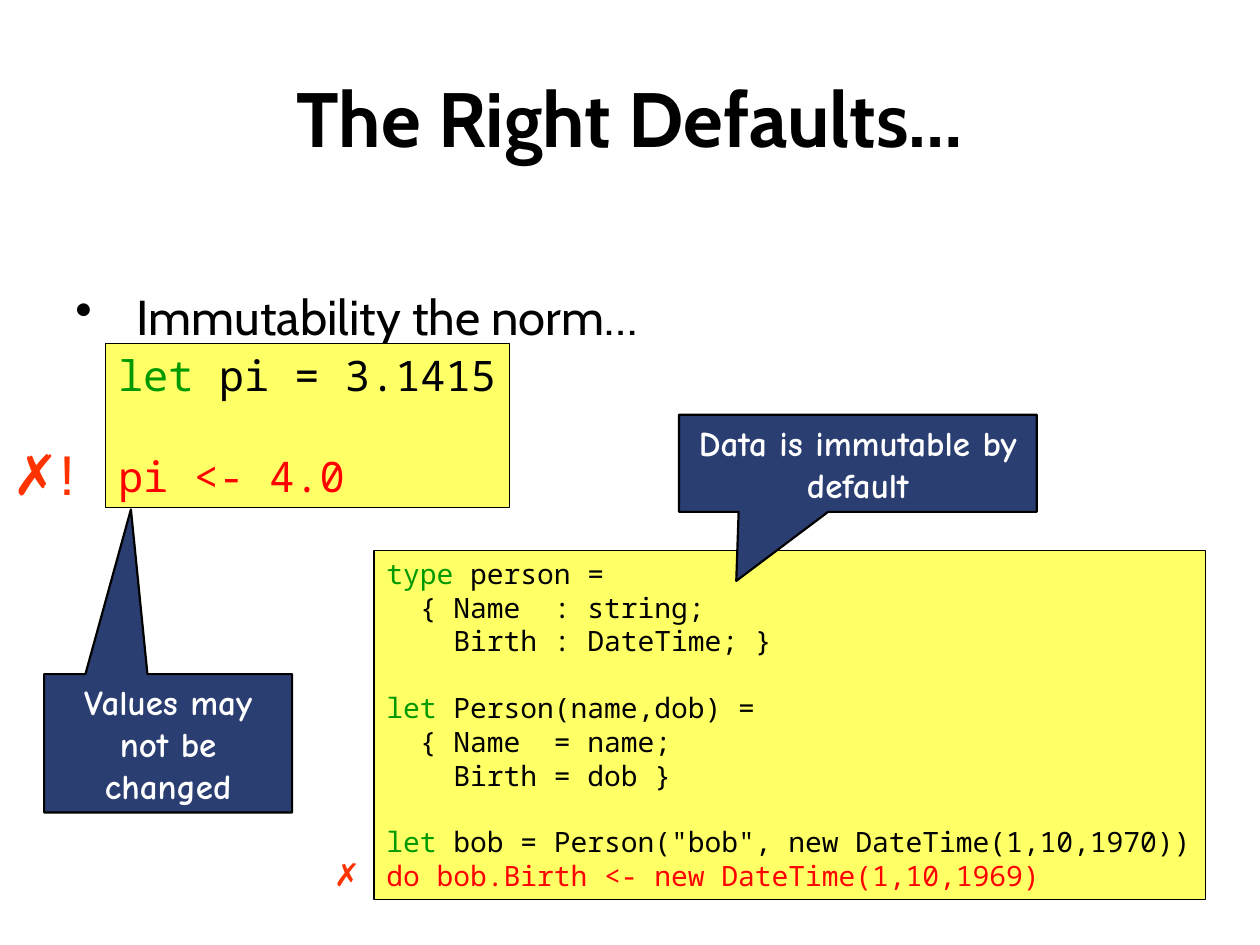
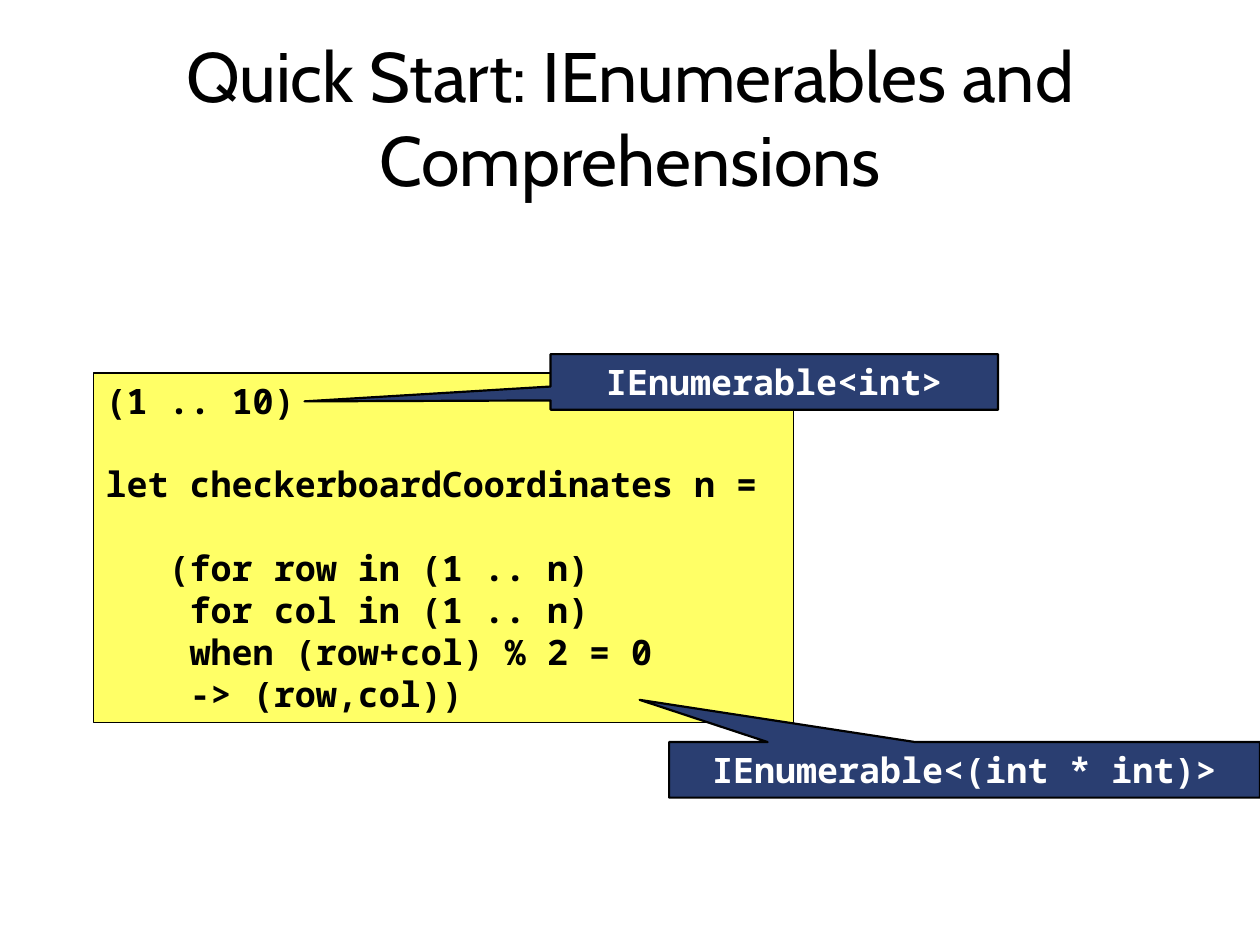
from lxml import etree
from pptx import Presentation
from pptx.dml.color import RGBColor
from pptx.enum import shapes, text
from pptx.oxml import ns
from pptx.util import Cm, Pt

BLACK = RGBColor(0, 0, 0)
WHITE = RGBColor(255, 255, 255)
NAVY = RGBColor(0x2A, 0x3E, 0x71)
YELLOW = RGBColor(255, 255, 0x66)
GREEN = RGBColor(0, 0x99, 0)
RED = RGBColor(255, 0, 0)
ORANGE = RGBColor(255, 0x33, 0)

SANS = "Cabin"
MONO = "Noto Sans Mono"
COMIC = "Comic Neue"
MARK = "Arial"
LEADING = 1.19

PI_CODE = """let pi = 3.1415

pi <- 4.0"""

BOB_CODE = """type person =
  { Name  : string;
    Birth : DateTime; }

let Person(name,dob) =
  { Name  = name;
    Birth = dob }

let bob = Person("bob", new DateTime(1,10,1970))
do bob.Birth <- new DateTime(1,10,1969)"""

BOARD_CODE = """(1 .. 10)

let checkerboardCoordinates n =

   (for row in (1 .. n)
    for col in (1 .. n)
    when (row+col) % 2 = 0
    -> (row,col))"""


class Deck:
    def __init__(self):
        self.file = Presentation()
        self.file.slide_width = Cm(25.4)
        self.file.slide_height = Cm(19.05)
        self.slide = None

    def start(self, title, size, bold=False):
        self.slide = self.file.slides.add_slide(self.file.slide_layouts[6])
        para = self.label((1.27, 0.76, 22.86, 3.18), title, SANS, size, BLACK, bold,
                          text.MSO_ANCHOR.MIDDLE)
        para.alignment = text.PP_ALIGN.CENTER

    def style(self, run, name, size, color, bold=False):
        font = run.font
        font.name, font.size, font.bold = name, Pt(size), bold
        font.color.rgb = color

    def label(self, box, words, name, size, color, bold=False,
              anchor=text.MSO_ANCHOR.TOP):
        frame = self.slide.shapes.add_textbox(*map(Cm, box)).text_frame
        frame.word_wrap = True
        frame.vertical_anchor = anchor
        frame.text = words
        para = frame.paragraphs[0]
        self.style(para.runs[0], name, size, color, bold)
        return para

    def bullet(self, box, words, size):
        para = self.label(box, words, SANS, size, BLACK)
        props = para._p.get_or_add_pPr()
        indent = Cm(1.24)
        props.set("marL", str(indent))
        props.set("indent", str(-indent))
        etree.SubElement(props, ns.qn("a:buChar")).set("char", "•")

    def shape(self, kind, box, fill, width):
        item = self.slide.shapes.add_shape(kind, *map(Cm, box))
        item.shadow.inherit = False
        item.fill.solid()
        item.fill.fore_color.rgb = fill
        item.line.color.rgb = BLACK
        item.line.width = Pt(width)
        return item

    def code(self, box, source, size, keys=(), bold=False):
        frame = self.shape(shapes.MSO_SHAPE.RECTANGLE, box, YELLOW, 0.75).text_frame
        frame.word_wrap = False
        frame.auto_size = text.MSO_AUTO_SIZE.SHAPE_TO_FIT_TEXT
        frame.vertical_anchor = text.MSO_ANCHOR.TOP
        para, gap = frame.paragraphs[0], False
        for row, line in enumerate(source.split("\n")):
            if not line:
                gap = True
                continue
            if row:
                para = frame.add_paragraph()
            para.alignment = text.PP_ALIGN.LEFT
            if gap:
                para.space_before = Pt(size * LEADING)
                gap = False
            word = line.split(" ")[0]
            cut = len(word) if word in keys else 0
            color = RED if "<-" in line else BLACK
            for part, shade in ((line[:cut], GREEN), (line[cut:], color)):
                if part:
                    run = para.add_run()
                    run.text = part
                    self.style(run, MONO, size, shade, bold)

    def callout(self, box, words, tip, name):
        item = self.shape(shapes.MSO_SHAPE.RECTANGULAR_CALLOUT, box, NAVY, 1.25)
        item.adjustments[0], item.adjustments[1] = tip
        frame = item.text_frame
        frame.word_wrap = True
        frame.vertical_anchor = text.MSO_ANCHOR.MIDDLE
        frame.text = words
        para = frame.paragraphs[0]
        para.alignment = text.PP_ALIGN.CENTER
        self.style(para.runs[0], name, 20, WHITE, True)


def main():
    deck = Deck()

    deck.start("The Right Defaults…", 44, True)
    deck.bullet((1.27, 5.66, 22.86, 11.35), "Immutability the norm…", 28)
    keys = ("let", "type")
    deck.code((2.13, 6.93, 8.15, 3.3), PI_CODE, 24, keys)
    deck.callout((0.89, 13.59, 5, 2.79), "Values may not be changed", (-0.15, -1.69), COMIC)
    deck.code((7.54, 11.1, 16.76, 7.04), BOB_CODE, 16, keys)
    deck.callout((13.69, 8.36, 7.21, 1.96), "Data is immutable by default", (-0.34, 1.21), COMIC)
    deck.label((6.48, 17.12, 0.94, 1.02), "✗", MARK, 18, ORANGE)
    deck.label((0, 8.74, 1.96, 1.63), "✗!", MARK, 32, ORANGE)

    deck.start("Quick Start: IEnumerables and Comprehensions", 40)
    deck.code((1.88, 7.52, 14.12, 7.04), BOARD_CODE, 20, bold=True)
    deck.callout((13.49, 14.96, 11.91, 1.12), "IEnumerable<(int * int)>", (-0.55, -1.26), MONO)
    deck.callout((11.1, 7.14, 9.02, 1.12), "IEnumerable<int>", (-1.05, 0.35), MONO)

    deck.file.save("out.pptx")


if __name__ == "__main__":
    main()
